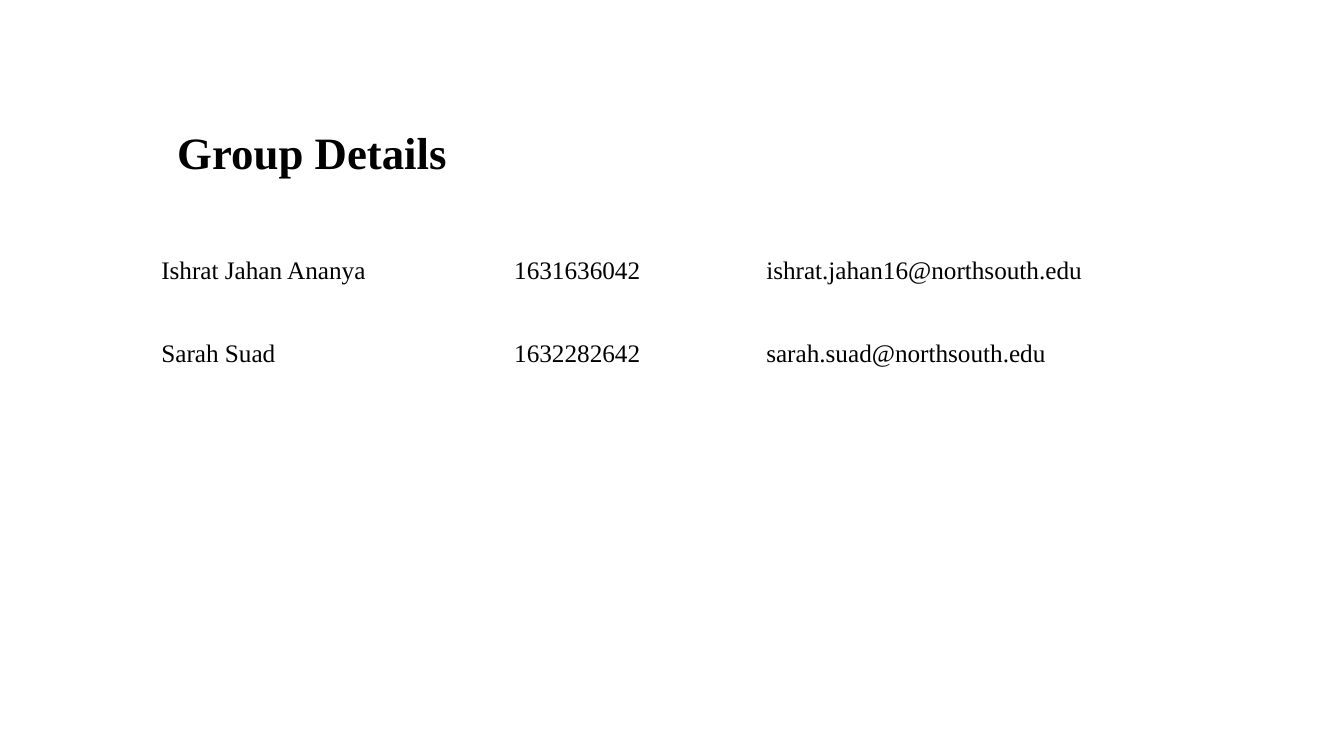
from pptx import Presentation
from pptx.dml.color import RGBColor
from pptx.enum.text import MSO_ANCHOR
from pptx.oxml.ns import qn
from pptx.util import Inches, Pt

NO_STYLE_NO_GRID = "{2D5ABB26-0587-4C30-8999-92F81FD0307C}"
MEMBERS = [
    ("Ishrat Jahan Ananya", "1631636042", "ishrat.jahan16@northsouth.edu"),
    ("", "", ""),
    ("Sarah Suad", "1632282642", "sarah.suad@northsouth.edu"),
]


def color(value):
    return RGBColor.from_string(value)


class SlideBuilder:
    font_name = "Times New Roman"
    text_color = "000000"
    background = "FFFFFF"

    def __init__(self, prs):
        self.slide = prs.slides.add_slide(prs.slide_layouts[6])
        fill = self.slide.background.fill
        fill.solid()
        fill.fore_color.rgb = color(self.background)

    def style(self, p, size, bold=False):
        p.font.name = self.font_name
        p.font.size = Pt(size)
        p.font.bold = bold
        p.font.color.rgb = color(self.text_color)

    def title(self, text, left, top, width, height):
        s = self.slide.shapes.add_textbox(
            Inches(left), Inches(top), Inches(width), Inches(height))
        tf = s.text_frame
        tf.word_wrap = True
        tf.vertical_anchor = MSO_ANCHOR.BOTTOM
        p = tf.paragraphs[0]
        p.text = text
        p.line_spacing = 0.9
        self.style(p, 32, bold=True)

    def table(self, rows, left, top, widths, row_height):
        """Add a borderless table without header or banding."""
        table = self.slide.shapes.add_table(
            len(rows), len(widths), Inches(left), Inches(top),
            Inches(sum(widths)), Inches(row_height * len(rows))).table
        table.first_row = table.horz_banding = False
        style_id = table._tbl.tblPr.find(qn("a:tableStyleId"))
        style_id.text = NO_STYLE_NO_GRID
        for column, width in zip(table.columns, widths):
            column.width = Inches(width)
        for r, values in enumerate(rows):
            table.rows[r].height = Inches(row_height)
            for c, value in enumerate(values):
                cell = table.cell(r, c)
                cell.fill.background()
                p = cell.text_frame.paragraphs[0]
                if value:
                    p.text = value
                self.style(p, 18)


def main():
    prs = Presentation()
    prs.slide_width, prs.slide_height = Inches(13.33), Inches(7.5)
    builder = SlideBuilder(prs)
    builder.title("Group Details", 1.66, 0.58, 10.5, 1.25)
    builder.table(MEMBERS, 1.5, 2.5, [3.5, 2.5, 4.5], 0.41)
    prs.save("out.pptx")


if __name__ == "__main__":
    main()
